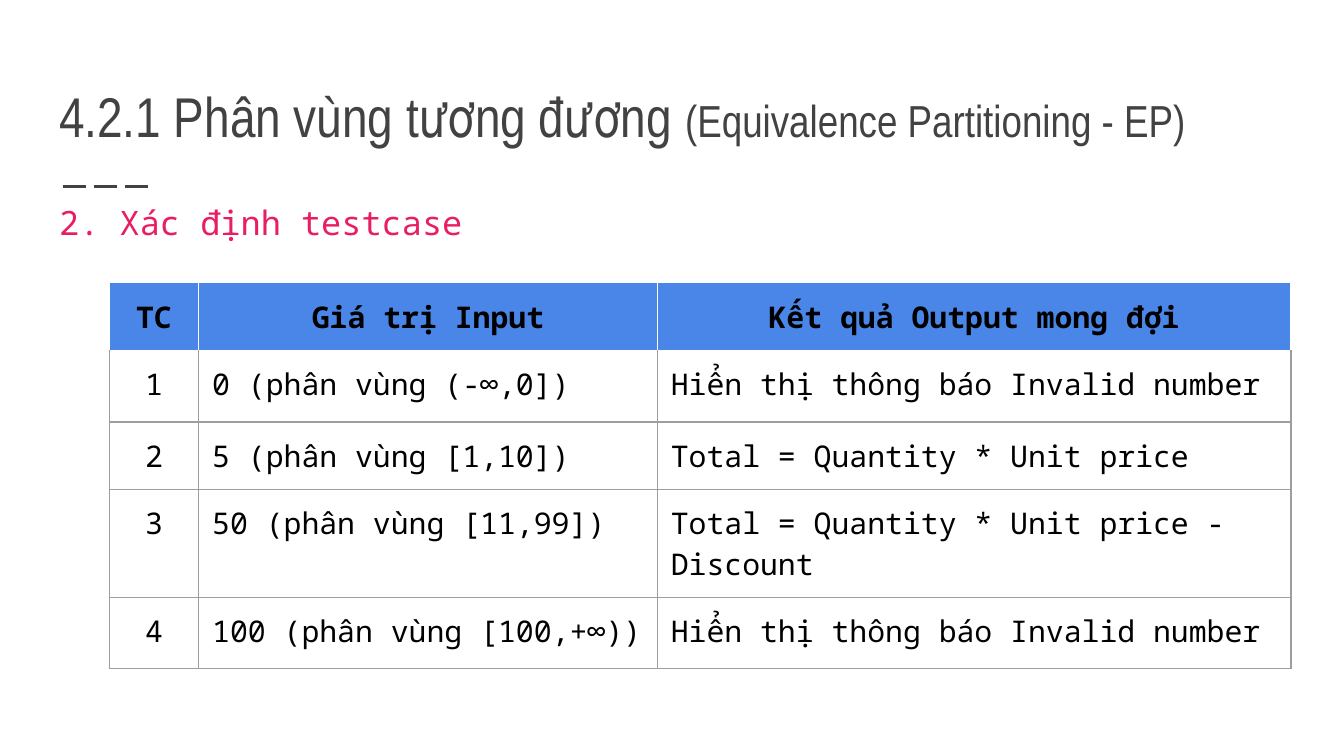
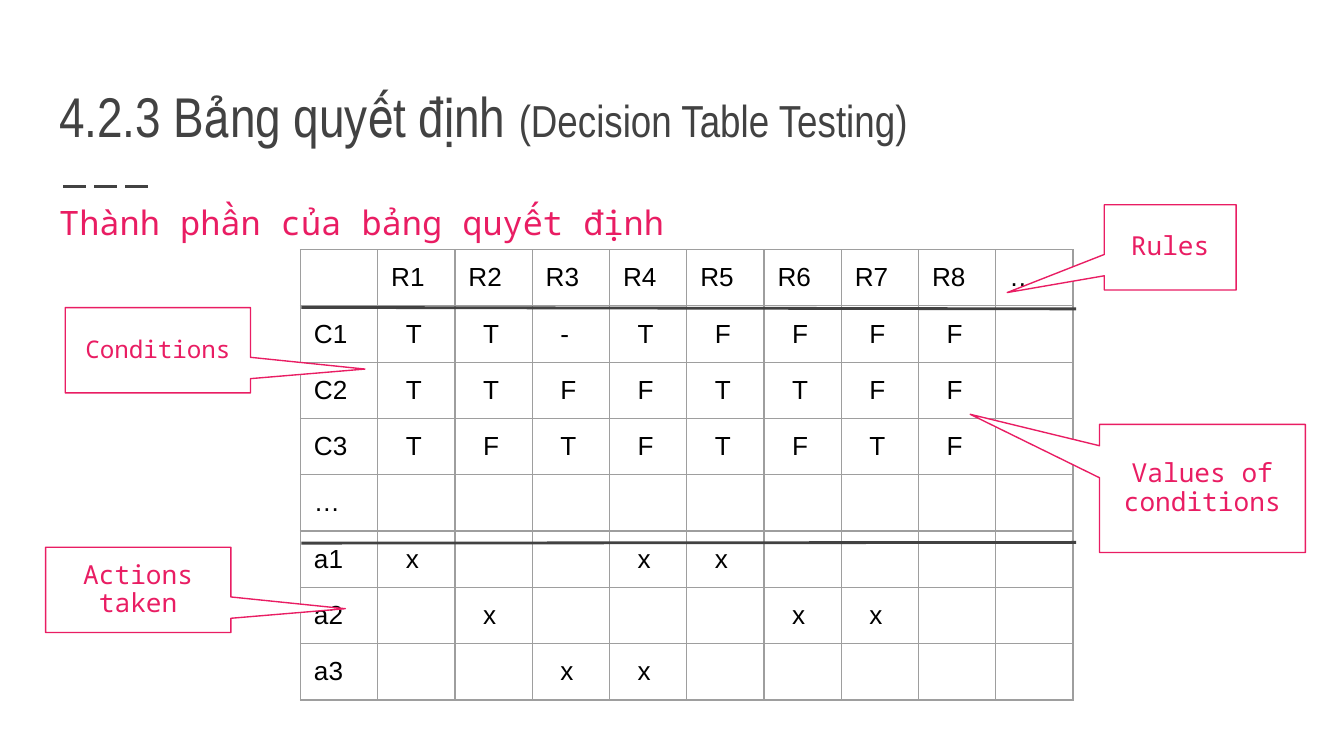
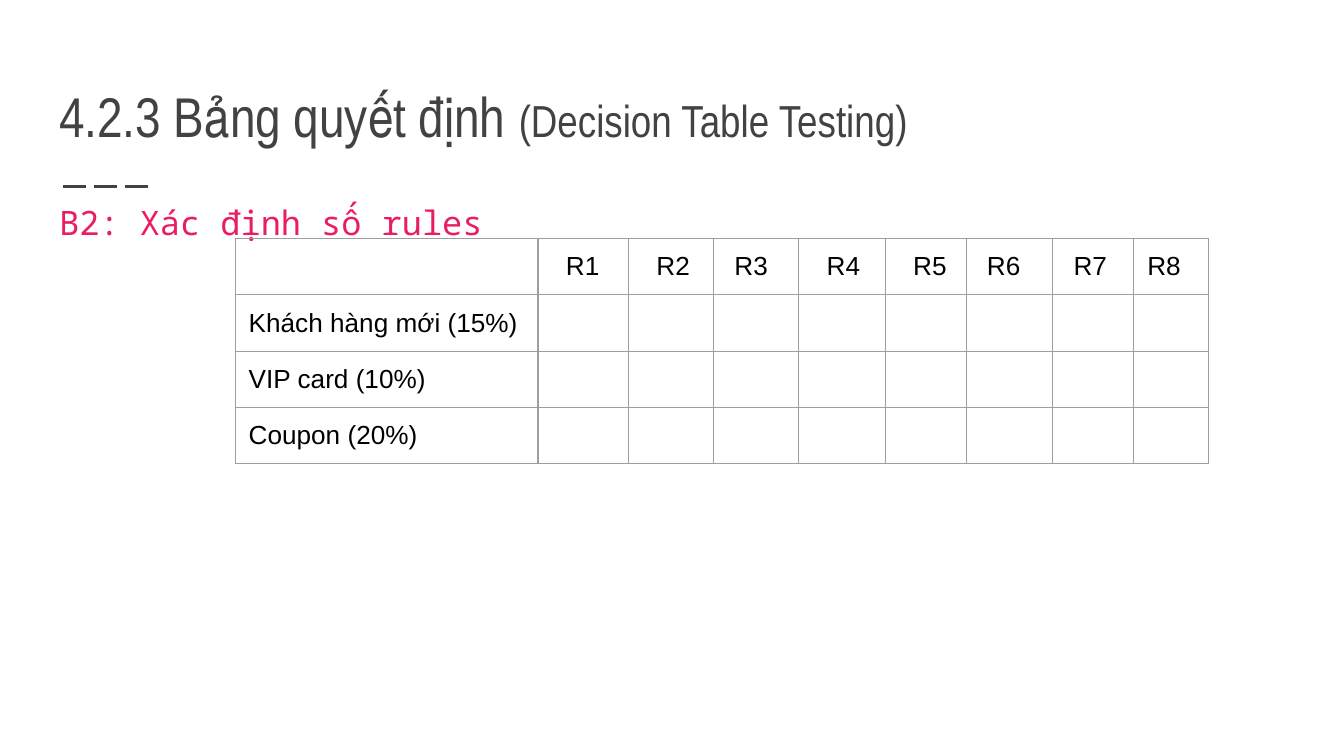
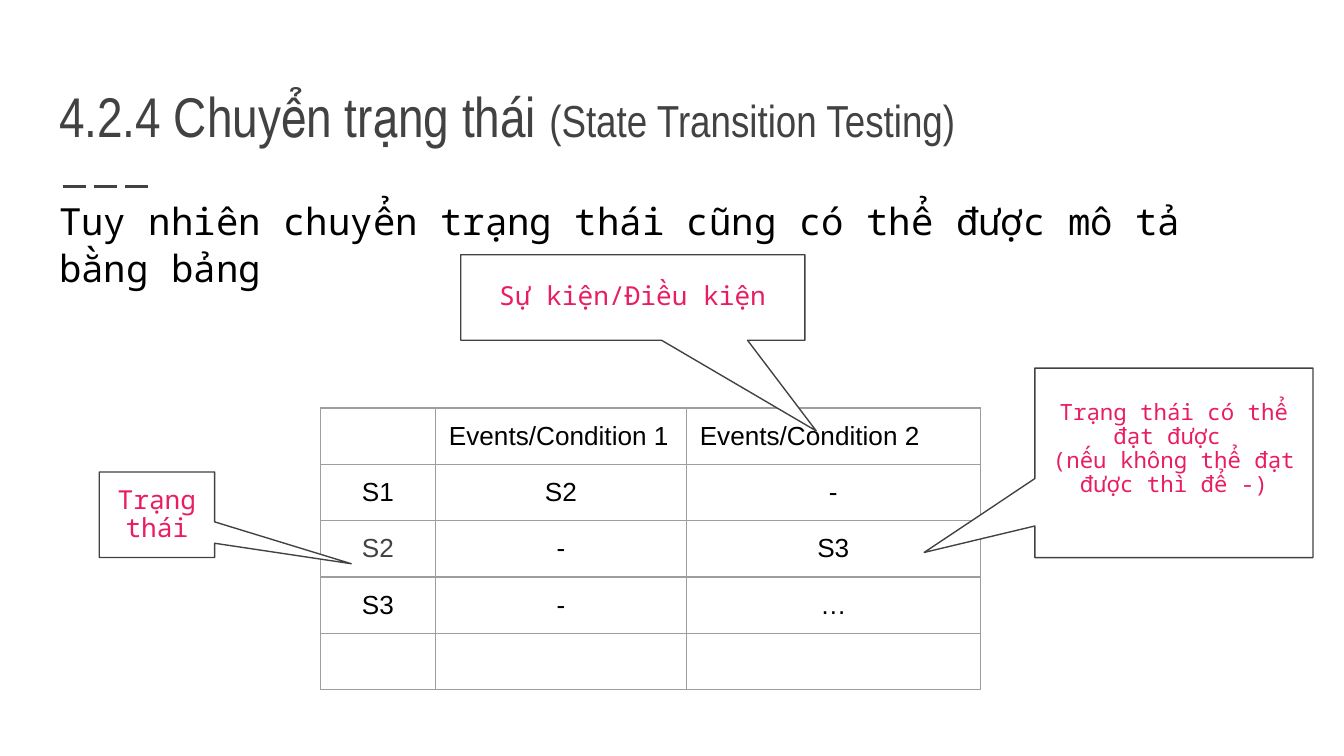
from lxml.etree import SubElement
from pptx import Presentation
from pptx.dml.color import RGBColor
from pptx.enum.dml import MSO_LINE
from pptx.enum.shapes import MSO_CONNECTOR, MSO_SHAPE
from pptx.enum.text import MSO_ANCHOR, MSO_AUTO_SIZE, PP_ALIGN
from pptx.oxml.ns import qn
from pptx.util import Pt

INK = RGBColor(0x42, 0x42, 0x42)
PINK = RGBColor(0xE9, 0x1D, 0x63)
BLUE = RGBColor(0x4A, 0x86, 0xE8)
GREY = RGBColor(0x9E, 0x9E, 0x9E)
BLACK = RGBColor(0, 0, 0)
WHITE = RGBColor(0xFF, 0xFF, 0xFF)

HEADING_FONT = "Arial Narrow"
MONO = "Noto Sans Mono"
SANS = "Arial"

INSET = 7.2
LEFT = 24.5
CONTENT_WIDTH = 671


def add_text(paragraph, text, *, size, font=MONO, color=BLACK, bold=False,
             align=PP_ALIGN.LEFT, spacing=None, after=0):
    paragraph.alignment = align
    paragraph.space_before = Pt(0)
    paragraph.space_after = Pt(after)
    if spacing:
        paragraph.line_spacing = spacing
    if not text:
        # An empty cell keeps its row height through the end-of-paragraph size.
        end = SubElement(paragraph._p, qn("a:endParaRPr"), sz=str(size * 100))
        SubElement(end, qn("a:latin"), typeface=font)
        return
    run = paragraph.add_run()
    run.text = text
    run.font.size = Pt(size)
    run.font.name = font
    run.font.bold = bold
    run.font.color.rgb = color


def set_frame(frame, anchor, bottom=INSET):
    frame.word_wrap = True
    frame.auto_size = MSO_AUTO_SIZE.NONE
    frame.vertical_anchor = anchor
    frame.margin_left = frame.margin_right = frame.margin_top = Pt(INSET)
    frame.margin_bottom = Pt(bottom)


def place(shape, left, top, width, height):
    shape.left, shape.top = Pt(left), Pt(top)
    shape.width, shape.height = Pt(width), Pt(height)


def add_rule(slide, x1, y1, x2, y2, dash=None):
    rule = slide.shapes.add_connector(
        MSO_CONNECTOR.STRAIGHT, Pt(x1), Pt(y1), Pt(x2), Pt(y2))
    rule.line.color.rgb = INK
    rule.line.width = Pt(1.5)
    if dash:
        rule.line.dash_style = dash
    SubElement(rule._element.spPr, qn("a:effectLst"))


def add_topic_slide(deck, topic, english, lead, *, width=CONTENT_WIDTH, **lead_format):
    """Add a slide with its two-size title, dashed rule and lead sentence."""
    slide = deck.slides.add_slide(deck.slide_layouts[1])
    add_rule(slide, 34, 100, 82, 100, MSO_LINE.LONG_DASH)

    title = slide.shapes.title
    place(title, LEFT, 29.5, CONTENT_WIDTH, 57.6)
    set_frame(title.text_frame, MSO_ANCHOR.BOTTOM)
    heading = title.text_frame.paragraphs[0]
    for text, size in ((topic + " ", 30), (english, 24)):
        add_text(heading, text, size=size, font=HEADING_FONT, color=INK)

    body = slide.placeholders[1]
    place(body, LEFT, 98, width, 293)
    set_frame(body.text_frame, MSO_ANCHOR.TOP)
    sentence = body.text_frame.paragraphs[0]
    properties = sentence._p.get_or_add_pPr()
    properties.set("marL", "0")
    properties.set("indent", "0")
    SubElement(properties, qn("a:buNone"))
    add_text(sentence, lead, **lead_format)
    return slide


def set_borders(cell, color, top_color):
    properties = cell._tc.get_or_add_tcPr()
    for side in "LRTB":
        edge = SubElement(properties, qn(f"a:ln{side}"), w=str(Pt(0.75)))
        fill = SubElement(edge, qn("a:solidFill"))
        side_color = top_color if side == "T" else color
        SubElement(fill, qn("a:srgbClr"), val=str(side_color))


def fill_cell(cell, text, *, fill=None, border=GREY, top_border=None, indent=0,
              **text_format):
    set_borders(cell, border, top_border or border)
    if fill:
        cell.fill.solid()
        cell.fill.fore_color.rgb = fill
    else:
        cell.fill.background()
    cell.margin_left = Pt(INSET + indent)
    cell.margin_right = cell.margin_top = cell.margin_bottom = Pt(INSET)
    add_text(cell.text_frame.paragraphs[0], text, **text_format)


def add_grid(slide, left, top, widths, heights, rows, style):
    """Add a table; style(row, column) gives the format of each cell."""
    grid = slide.shapes.add_table(
        len(heights), len(widths), Pt(left), Pt(top),
        Pt(sum(widths)), Pt(sum(heights))).table
    grid.first_row = grid.horz_banding = False
    for column, width in zip(grid.columns, widths):
        column.width = Pt(width)
    for r, height in enumerate(heights):
        grid.rows[r].height = Pt(height)
        for c in range(len(widths)):
            text = rows[r][c].strip() if c < len(rows[r]) else ""
            fill_cell(grid.cell(r, c), text, **style(r, c))


def add_callout(slide, preset, box, tip, lines, *, outline, size=14, bottom=INSET):
    """Add a speech box whose tip is offset from its centre in box fractions."""
    callout = slide.shapes.add_shape(preset, *(Pt(length) for length in box))
    callout.shadow.inherit = False
    for i, value in enumerate(tip):
        callout.adjustments[i] = value
    callout.fill.solid()
    callout.fill.fore_color.rgb = WHITE
    callout.line.color.rgb = outline
    callout.line.width = Pt(0.75)
    frame = callout.text_frame
    set_frame(frame, MSO_ANCHOR.MIDDLE, bottom)
    for i, line in enumerate(lines):
        paragraph = frame.add_paragraph() if i else frame.paragraphs[0]
        add_text(paragraph, line, size=size, color=PINK,
                 align=PP_ALIGN.CENTER, spacing=0.9)


def build_partitioning(deck):
    slide = add_topic_slide(
        deck, "4.2.1 Phân vùng tương đương", "(Equivalence Partitioning - EP)",
        "2. Xác định testcase", size=18, color=PINK, spacing=1.15, after=12)
    invalid = "Hiển thị thông báo Invalid number"
    total = "Total = Quantity * Unit price"
    test_cases = [
        ("TC", "Giá trị Input", "Kết quả Output mong đợi"),
        ("1", "0 (phân vùng (-∞,0])", invalid),
        ("2", "5 (phân vùng [1,10])", total),
        ("3", "50 (phân vùng [11,99])", total + " - Discount"),
        ("4", "100 (phân vùng [100,+∞))", invalid),
    ]

    def style(row, column):
        if row == 0:
            return dict(size=16, bold=True, align=PP_ALIGN.CENTER,
                        fill=BLUE, border=WHITE)
        return dict(size=16, top_border=WHITE if row == 1 else GREY,
                    align=PP_ALIGN.LEFT if column else PP_ALIGN.CENTER)

    add_grid(slide, 58.5, 151.5, [48, 245.7, 339.5], [35.6, 38.4, 36.3, 37.5, 38.1],
             test_cases, style)


def add_decision_slide(deck, lead):
    return add_topic_slide(
        deck, "4.2.3 Bảng quyết định", "(Decision Table Testing)", lead,
        size=18, color=PINK, spacing=1.15, after=12)


def build_decision_parts(deck):
    slide = add_decision_slide(deck, "Thành phần của bảng quyết định")
    rules = [
        ["", *(f"R{n}" for n in range(1, 9)), "…"],
        ["C1", *"TT-TFFFF"],
        ["C2", *"TTFFTTFF"],
        ["C3", *"TFTFTFTF"],
        ["…"],
        ["a1", *"x  xx"],
        ["a2", *" x   xx"],
        ["a3", *"  xx"],
    ]
    add_grid(slide, 161, 133.7, [41.4] * 10, [22.3] * 8, rules,
             lambda row, column: dict(size=14, font=SANS,
                                      indent=7.8 if row and column else 0))
    add_rule(slide, 161.5, 164.7, 576.5, 165.5)
    add_rule(slide, 161.5, 291, 576.5, 290.6)

    left_tip = (1.118, 0.221, 0)
    for box, tip, label, size in (
        ((589, 227.4, 110.3, 68.6), (-1.128, -0.579, 0), "Values of conditions", 14),
        ((591.6, 109.7, 70.6, 45.7), (-1.237, 0.53, 0), "Rules", 14),
        ((35, 164.8, 99.2, 45.7), left_tip, "Conditions", 13),
        ((24.5, 293.2, 99.2, 45.7), left_tip, "Actions taken", 14),
    ):
        add_callout(slide, MSO_SHAPE.ROUNDED_RECTANGULAR_CALLOUT, box, tip, [label],
                    outline=PINK, size=size)


def build_rule_count(deck):
    slide = add_decision_slide(deck, "B2: Xác định số rules")
    rows = [["", *(f"R{n}" for n in range(1, 9))],
            ["Khách hàng mới (15%)"], ["VIP card (10%)"], ["Coupon (20%)"]]
    indents = [0, 7.8, 7.8, 3.9, 7.8, 7.8, 3.9, 3.9, 0]
    widths = [162.2, 48.5, 45.7, 45.5, 46.4, 43.4, 46.4, 43.4, 40]
    add_grid(slide, 126, 127.8, widths, [22.3] * 4, rows,
             lambda row, column: dict(size=14, font=SANS,
                                      indent=0 if row else indents[column]))


def build_state_transition(deck):
    slide = add_topic_slide(
        deck, "4.2.4 Chuyển trạng thái", "(State Transition Testing)",
        "Tuy nhiên chuyển trạng thái cũng có thể được mô tả bằng bảng",
        width=662.4, size=20, spacing=1.05)
    transitions = [
        ("", "Events/Condition 1", "Events/Condition 2"),
        ("S1", "S2", "-"),
        ("S2", "-", "S3"),
        ("S3", "-", "…"),
        (),
    ]
    add_grid(slide, 171.6, 218.6, [61.7, 134.4, 157.5], [30.1] * 5, transitions,
             lambda row, column: dict(
                 size=14, font=SANS,
                 color=INK if (row, column) == (2, 0) else BLACK,
                 align=PP_ALIGN.CENTER if row else PP_ALIGN.LEFT))

    preset = MSO_SHAPE.RECTANGULAR_CALLOUT
    add_callout(slide, preset, (53.2, 252.9, 61.8, 45.8), (1.685, 0.573),
                ["Trạng thái"], outline=INK)
    add_callout(slide, preset, (246.8, 136.5, 184.4, 45.8), (0.533, 1.561),
                ["Sự kiện/Điều kiện"], outline=INK)
    add_callout(slide, preset, (554.4, 197.2, 149, 101.5), (-0.898, 0.473),
                ["Trạng thái có thể đạt được ", "(nếu không thể đạt được thì để -)"],
                outline=INK, size=12, bottom=22)


def main():
    deck = Presentation()
    deck.slide_width, deck.slide_height = Pt(720), Pt(405)
    build_partitioning(deck)
    build_decision_parts(deck)
    build_rule_count(deck)
    build_state_transition(deck)
    deck.save("out.pptx")


if __name__ == "__main__":
    main()
